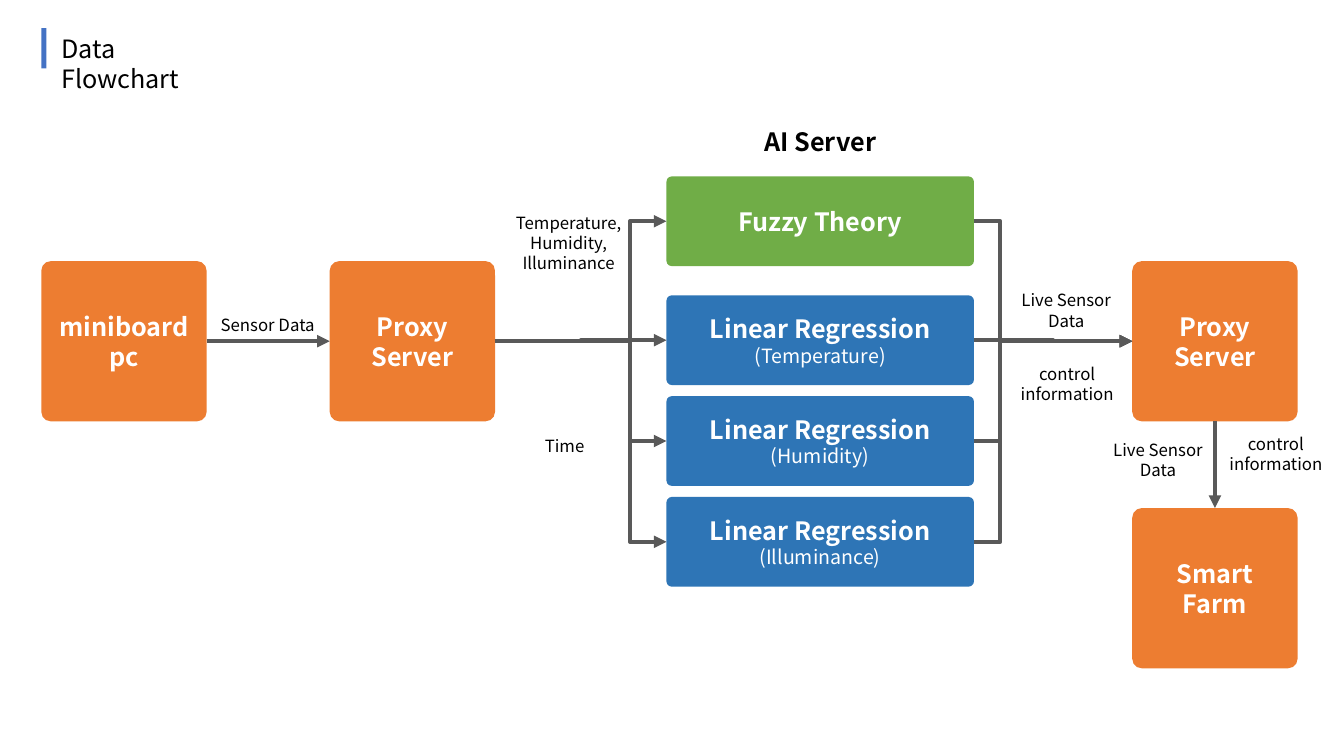
"""Build the Data Flowchart slide."""
from lxml import etree
from pptx import Presentation
from pptx.dml.color import RGBColor
from pptx.enum.shapes import MSO_CONNECTOR, MSO_SHAPE
from pptx.enum.text import MSO_ANCHOR, PP_ALIGN
from pptx.oxml.ns import qn
from pptx.util import Inches, Pt

ROUND, RECT = MSO_SHAPE.ROUNDED_RECTANGLE, MSO_SHAPE.RECTANGLE
LINE, ELBOW = MSO_CONNECTOR.STRAIGHT, MSO_CONNECTOR.ELBOW
LEFT, CENTER = PP_ALIGN.LEFT, PP_ALIGN.CENTER
TOP, MIDDLE = MSO_ANCHOR.TOP, MSO_ANCHOR.MIDDLE

FONT = "Noto Sans CJK KR"
WHITE, BLACK, GRAY = "FFFFFF", "000000", "595959"
ORANGE, GREEN, BLUE, ACCENT = "ED7D31", "70AD47", "2E75B6", "4472C4"

NODE_W, NODE_H = 1.64, 1.59
NODES = {
    "board": (0.41, 2.59, ["miniboard", "pc"]),
    "proxy": (3.27, 2.59, ["Proxy", "Server"]),
    "relay": (11.23, 2.59, ["Proxy", "Server"]),
    "farm": (11.23, 5.04, ["Smart", "Farm"]),
}
LINKS = [("board", 3, "proxy", 1), ("relay", 2, "farm", 0)]

MODEL_X, MODEL_W, MODEL_H = 6.61, 3.05, 0.89
FUZZY_Y, FIRST_Y, STEP = 1.75, 2.93, 1
INPUTS = ["Temperature", "Humidity", "Illuminance"]
IN_BEND, OUT_BEND = 6.25, 9.92

LABELS = [
    (2.01, 3.07, 1.29, 0.3, ["Sensor Data"]),
    (4.82, 2.06, 1.64, 0.71, ["Temperature, Humidity,", "Illuminance"]),
    (4.78, 4.27, 1.64, 0.3, ["Time"]),
    (9.93, 2.83, 1.29, 0.5, ["Live Sensor Data"]),
    (9.92, 3.56, 1.33, 0.5, ["control information"]),
    (10.84, 4.31, 1.29, 0.5, ["Live Sensor Data"]),
    (11.99, 4.25, 1.33, 0.5, ["control information"]),
]


def color(code):
    return RGBColor.from_string(code)


def write(shape, rows, tint, align=CENTER, anchor=TOP, wrap=True):
    frame = shape.text_frame
    frame.word_wrap, frame.vertical_anchor = wrap, anchor
    for i, (text, size, bold) in enumerate(rows):
        para = frame.add_paragraph() if i else frame.paragraphs[0]
        para.alignment = align
        run = para.add_run()
        run.text = text
        font = run.font
        font.name, font.size, font.bold = FONT, Pt(size), bold
        font.color.rgb = color(tint)


def block(kind, x, y, w, h, fill, rows=()):
    shape = slide.shapes.add_shape(kind, *map(Inches, (x, y, w, h)))
    shape.shadow.inherit = False
    shape.fill.solid()
    shape.fill.fore_color.rgb = color(fill)
    shape.line.fill.background()
    if kind == ROUND:
        shape.adjustments[0] = 0.06
    if rows:
        write(shape, rows, WHITE, anchor=MIDDLE)
    return shape


def label(x, y, w, h, rows, align=CENTER, wrap=True):
    box = slide.shapes.add_textbox(*map(Inches, (x, y, w, h)))
    write(box, rows, BLACK, align, wrap=wrap)


def arrow(kind, x1, y1, x2, y2):
    link = slide.shapes.add_connector(kind, *map(Inches, (x1, y1, x2, y2)))
    link.line.color.rgb = color(GRAY)
    link.line.width = Pt(3)
    tip = etree.SubElement(link.line._get_or_add_ln(), qn("a:tailEnd"))
    tip.set("type", "triangle")
    etree.SubElement(link._element.spPr, qn("a:effectLst"))
    return link


def elbow(x1, y1, x2, y2, bend):
    link = arrow(ELBOW, x1, y1, x2, y2)
    ratio = 0.5 if abs(y2 - y1) < 0.1 else (bend - x1) / (x2 - x1)
    geom = link._element.spPr.find(qn("a:prstGeom"))
    guide = etree.SubElement(geom.find(qn("a:avLst")), qn("a:gd"))
    guide.set("name", "adj1")
    guide.set("fmla", f"val {round(ratio * 100000)}")


deck = Presentation()
deck.slide_width, deck.slide_height = Inches(13.33), Inches(7.5)
slide = deck.slides.add_slide(deck.slide_layouts[6])

block(RECT, 0.41, 0.28, 0.05, 0.4, ACCENT)
label(0.51, 0.28, 1.93, 0.4, [("Data Flowchart", 18, False)], LEFT)
label(7.48, 1.2, 1.31, 0.4, [("AI Server", 18, True)], wrap=False)

nodes = {}
for name, (x, y, words) in NODES.items():
    rows = [(word, 18, True) for word in words]
    nodes[name] = block(ROUND, x, y, NODE_W, NODE_H, ORANGE, rows)

models = [(FUZZY_Y, GREEN, [("Fuzzy Theory", 18, True)])]
for i, name in enumerate(INPUTS):
    rows = [("Linear Regression", 18, True), (f"({name})", 14, False)]
    models.append((FIRST_Y + i * STEP, BLUE, rows))

start, end = NODES["proxy"][0] + NODE_W, NODES["relay"][0]
axis = NODES["proxy"][1] + NODE_H / 2
for y, fill, rows in models:
    block(ROUND, MODEL_X, y, MODEL_W, MODEL_H, fill, rows)
    mid = y + MODEL_H / 2
    elbow(start, axis, MODEL_X, mid, IN_BEND)
    elbow(MODEL_X + MODEL_W, mid, end, axis, OUT_BEND)

for head, out, tail, into in LINKS:
    link = arrow(LINE, 0, 0, 1, 1)
    link.begin_connect(nodes[head], out)
    link.end_connect(nodes[tail], into)

for x, y, w, h, lines in LABELS:
    label(x, y, w, h, [(text, 12, False) for text in lines])

deck.save("out.pptx")
